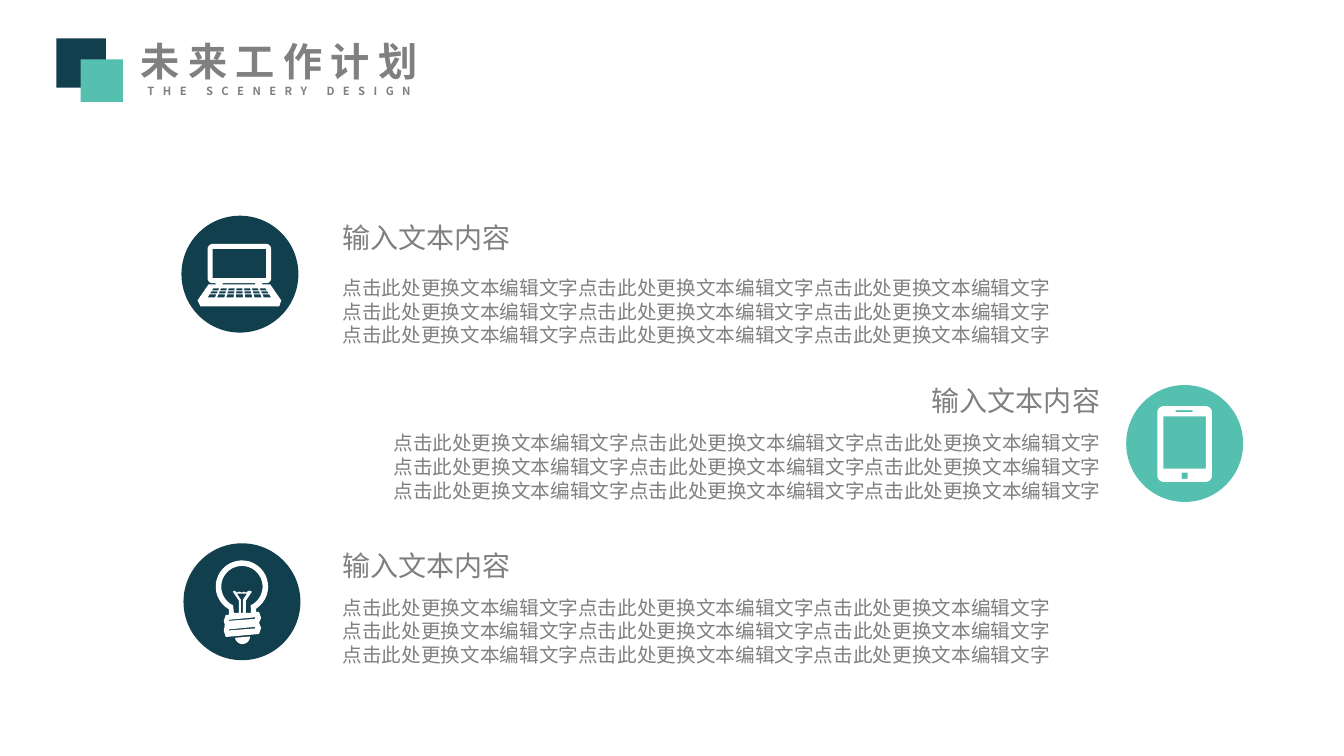
from dataclasses import dataclass
from math import cos, radians, sin

from lxml import etree
from pptx import Presentation
from pptx.dml.color import RGBColor
from pptx.enum.shapes import MSO_SHAPE
from pptx.enum.text import MSO_AUTO_SIZE, PP_ALIGN
from pptx.oxml.ns import qn
from pptx.util import Pt

RECT, OVAL = MSO_SHAPE.RECTANGLE, MSO_SHAPE.OVAL
LEFT, CENTER, RIGHT = PP_ALIGN.LEFT, PP_ALIGN.CENTER, PP_ALIGN.RIGHT
FIT = MSO_AUTO_SIZE.SHAPE_TO_FIT_TEXT
PX = 9144  # EMU per px, 100 px to the inch
FINE = 10  # outline units per px


@dataclass(frozen=True)
class Theme:
    font: str = "Noto Sans CJK SC"
    navy: str = "113F4E"
    mint: str = "55C0AF"
    gray: str = "808080"
    white: str = "FFFFFF"
    title: int = 28
    subtitle: int = 8
    heading: int = 20
    body: int = 14
    leading: float = 1.2
    tracking: int = 600


class Deck:
    def __init__(self, theme, width, height):
        self.theme = theme
        self.prs = Presentation()
        self.prs.slide_width, self.prs.slide_height = width * PX, height * PX
        self.slide = self.prs.slides.add_slide(self.prs.slide_layouts[6])

    def paint(self, sp, color):
        sp.shadow.inherit = False
        sp.fill.solid()
        sp.fill.fore_color.rgb = RGBColor.from_string(color)
        sp.line.fill.background()

    def shape(self, kind, box, color):
        sp = self.slide.shapes.add_shape(kind, *(v * PX for v in box))
        self.paint(sp, color)

    def outline(self, contours, color):
        """Draw closed contours as one shape; inner contours are holes."""
        paths = [[(x * FINE, y * FINE) for x, y in c] for c in contours]
        fb = self.slide.shapes.build_freeform(*paths[0][0], scale=PX / FINE)
        for i, path in enumerate(paths):
            if i:
                fb.move_to(*path[0])
            fb.add_line_segments(path[1:], close=True)
        self.paint(fb.convert_to_shape(), color)

    def text(self, box, lines, align=LEFT, wrap=False, bold=False, tracking=0):
        """Write one paragraph for each (text, size) in lines."""
        sp = self.slide.shapes.add_textbox(*(v * PX for v in box))
        tf = sp.text_frame
        tf.word_wrap, tf.auto_size = wrap, FIT
        for i, (words, size) in enumerate(lines):
            p = tf.paragraphs[0] if i == 0 else tf.add_paragraph()
            p.alignment = align
            p.line_spacing = Pt(size * self.theme.leading)
            r = p.add_run()
            r.text = words
            fmt = {"name": self.theme.font, "size": Pt(size), "bold": bold}
            for key, value in fmt.items():
                setattr(r.font, key, value)
            r.font.color.rgb = RGBColor.from_string(self.theme.gray)
            rpr = r.font._element
            etree.SubElement(rpr, qn("a:ea")).set("typeface", self.theme.font)
            if tracking:
                rpr.set("spc", str(tracking))


# Outline helpers
def arc(cx, cy, radius, start, end, steps=32):
    angles = [radians(start + (end - start) * i / steps) for i in range(steps + 1)]
    return [(cx + radius * cos(a), cy + radius * sin(a)) for a in angles]


def rect(x1, y1, x2, y2):
    return [(x1, y1), (x2, y1), (x2, y2), (x1, y2)]


def round_rect(x1, y1, x2, y2, radius):
    corners = [(x2 - radius, y2 - radius), (x1 + radius, y2 - radius),
               (x1 + radius, y1 + radius), (x2 - radius, y1 + radius)]
    return [pt for i, (cx, cy) in enumerate(corners)
            for pt in arc(cx, cy, radius, 90 * i, 90 * i + 90, 8)]


# Icons
def laptop():
    lid = round_rect(206, 242, 269, 281, 5)
    base = [(207, 282), (214, 282), (214, 281), (260, 281), (260, 282),
            (268, 282), (279, 298), (277, 304), (199, 304), (196, 298)]
    hinge = rect(221, 281, 253, 282)
    contours = [lid, base, rect(211, 247, 264, 276), hinge]
    columns, mid, key_width = 7, 237.5, 0.23
    pitch = (2 - key_width) / (columns - 1)
    for top, bottom in ((286, 288), (289, 291), (292, 295)):
        upper, lower = (26 + 0.6 * (y - 286) for y in (top, bottom))
        for i in range(columns):
            u = pitch * i - 1
            v = u + key_width
            contours.append([(mid + u * upper, top), (mid + v * upper, top),
                             (mid + v * lower, bottom), (mid + u * lower, bottom)])
    return contours


def tablet():
    return [round_rect(1148, 403, 1202, 478, 6), rect(1172, 469, 1178, 475),
            rect(1166, 407, 1183, 409), rect(1154, 413, 1196, 465)]


def bulb():
    glass = arc(240, 582, 26, 120, 417)
    screw = [(254, 607), (257, 607), (259, 613), (257, 618), (259, 623),
             (257, 629), (224, 632), (222, 626), (223, 620), (222, 616),
             (224, 610), (227, 610)]
    inside = arc(240, 582, 20.5, 115, 425)
    filament = [(249, 608), (244, 608), (244, 596), (250, 587), (247, 586),
                (244, 588), (242, 587), (240, 588), (237, 587), (235, 588),
                (233, 586), (231, 587), (237, 596), (237, 608), (232, 608)]
    stem = [(245, 589), (235, 589), (239, 595), (239, 608), (241, 608), (241, 595)]
    tip = arc(240.5, 631.5, 7.5, 0, 170)
    slots = [[(253, y), (227, y + 2.5), (227, y + 3.5), (253, y + 1.5)]
             for y in (612.5, 622)]
    return [glass + screw, inside + filament, stem, tip, *slots]


def main():
    theme = Theme()
    deck = Deck(theme, 1333, 750)

    # Title with its two squares
    deck.text((124, 32, 306, 71),
              [("未来工作计划", theme.title), ("THE SCENERY DESIGN", theme.subtitle)],
              CENTER, bold=True, tracking=theme.tracking)
    deck.shape(RECT, (56, 38, 49, 49), theme.navy)
    deck.shape(RECT, (80, 59, 42, 42), theme.mint)

    # Three plans: disc, icon, heading and body
    body = [("点击此处更换文本编辑文字" * 3, theme.body)] * 3
    plans = [
        ((180, 214), theme.navy, laptop, (330, 214), (330, 269, 922), LEFT),
        ((1117, 382), theme.mint, tablet, (913, 376), (180, 423, 922), RIGHT),
        ((182, 539), theme.navy, bulb, (330, 539), (330, 586, 827), LEFT),
    ]
    for disc, color, icon, heading_at, body_at, align in plans:
        deck.shape(OVAL, (*disc, 116, 116), color)
        deck.outline(icon(), theme.white)
        deck.text((*heading_at, 188, 44), [("输入文本内容", theme.heading)], align)
        deck.text((*body_at, 81), body, align, wrap=True)

    deck.prs.save("out.pptx")


if __name__ == "__main__":
    main()
